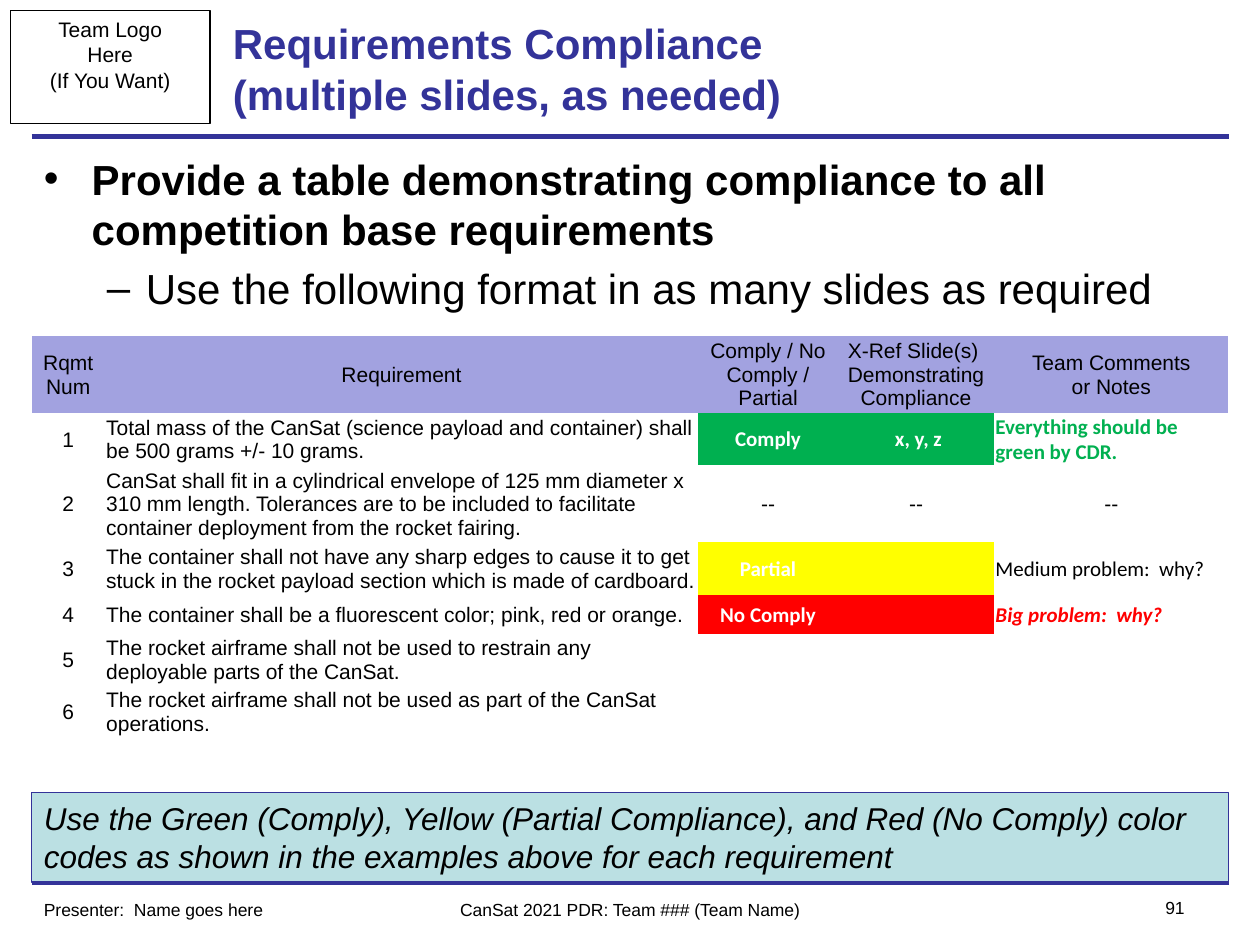
from lxml.etree import SubElement
from pptx import Presentation
from pptx.dml.color import RGBColor
from pptx.enum.shapes import MSO_CONNECTOR, MSO_SHAPE
from pptx.enum.text import MSO_ANCHOR, PP_ALIGN
from pptx.oxml.ns import qn
from pptx.util import Inches, Pt

HUES = {"navy": "333399", "black": "000000", "white": "FFFFFF", "head": "A2A2E0",
        "note": "BBE0E3", "green": "00B050", "yellow": "FFFF00", "red": "FF0000"}
ALIGN = {"l": PP_ALIGN.LEFT, "c": PP_ALIGN.CENTER, "r": PP_ALIGN.RIGHT}
PLAIN = "{2D5ABB26-0587-4C30-8999-92F81FD0307C}"


def hue(name):
    return RGBColor.from_string(HUES[name])


def unit(num):
    return Inches(num / 12)


def write(para, text, size=12, face="Arial", color="black", bold=False,
          slant=False, align="l", bullet=None, left=0, hang=0, before=0):
    para.text = text
    para.alignment = ALIGN[align]
    para.space_before = Pt(before)
    for run in para.runs:
        font = run.font
        font.size, font.name, font.bold, font.italic = Pt(size), face, bold, slant
        font.color.rgb = hue(color)
    if bullet:
        props = para._p.get_or_add_pPr()
        props.set("marL", str(Inches(left)))
        props.set("indent", str(-Inches(hang)))
        SubElement(props, qn("a:buFont"), typeface="Arial")
        SubElement(props, qn("a:buChar"), char=bullet)


def fill_in(frame, items, **style):
    for num, item in enumerate(items):
        para = frame.paragraphs[0] if num == 0 else frame.add_paragraph()
        text, extra = item if isinstance(item, tuple) else (item, {})
        write(para, text, **{**style, **extra})


class Page:
    def __init__(self, deck):
        self.shapes = deck.slides.add_slide(deck.slide_layouts[6]).shapes

    def rule(self, row):
        line = self.shapes.add_connector(MSO_CONNECTOR.STRAIGHT, unit(3), unit(row),
                                         unit(117), unit(row))
        line.line.color.rgb = hue("navy")
        line.line.width = Pt(3)
        SubElement(line._element.spPr, qn("a:effectLst"))

    def box(self, area, items, fill=None, edge="black", **style):
        box = self.shapes.add_shape(MSO_SHAPE.RECTANGLE, *map(unit, area))
        box.shadow.inherit = False
        if fill:
            box.fill.solid()
            box.fill.fore_color.rgb = hue(fill)
        else:
            box.fill.background()
        box.line.color.rgb = hue(edge)
        box.line.width = Pt(0.75)
        box.text_frame.vertical_anchor = MSO_ANCHOR.TOP
        fill_in(box.text_frame, items, **style)

    def label(self, area, items, anchor=MSO_ANCHOR.TOP, **style):
        frame = self.shapes.add_textbox(*map(unit, area)).text_frame
        frame.word_wrap = True
        frame.vertical_anchor = anchor
        fill_in(frame, items, **style)

    def table(self, left, top, cols, rows, cells):
        frame = self.shapes.add_table(len(rows), len(cols), unit(left), unit(top),
                                      unit(sum(cols)), unit(sum(rows)))
        grid = frame.table
        grid.first_row = grid.horz_banding = False
        grid._tbl.tblPr.find(qn("a:tableStyleId")).text = PLAIN
        for col, wide in zip(grid.columns, cols):
            col.width = unit(wide)
        for row, tall, line in zip(grid.rows, rows, cells):
            row.height = unit(tall)
            for cell, (items, fill, style) in zip(row.cells, line):
                self.cell(cell, items, fill, style)

    def cell(self, cell, items, fill, style):
        cell.margin_left = cell.margin_right = cell.margin_top = Inches(0.01)
        cell.margin_bottom = 0
        cell.vertical_anchor = MSO_ANCHOR.MIDDLE
        if fill:
            cell.fill.solid()
            cell.fill.fore_color.rgb = hue(fill)
        else:
            cell.fill.background()
        if items:
            fill_in(cell.text_frame, items, **style)


MID = {"align": "c"}
MARK = {"align": "c", "face": "Calibri", "color": "white", "bold": True}
BLANK = ([], None, {})
DASH = (["--"], None, MID)

HEADS = [["Rqmt", "Num"], ["Requirement"], ["Comply / No Comply / Partial"],
         ["X-Ref Slide(s)  Demonstrating Compliance"], ["Team Comments", "or Notes"]]
NEEDS = [
    "Total mass of the CanSat (science payload and container) shall be 500 grams +/- 10 grams.",
    "CanSat shall fit in a cylindrical envelope of 125 mm diameter x 310 mm length. "
    "Tolerances are to be included to facilitate container deployment from the rocket fairing.",
    "The container shall not have any sharp edges to cause it to get stuck in the rocket "
    "payload section which is made of cardboard.",
    "The container shall be a fluorescent color; pink, red or orange.",
    "The rocket airframe shall not be used to restrain any deployable parts of the CanSat.",
    "The rocket airframe shall not be used as part of the CanSat operations.",
]


def state(word, fill, ref, note, **style):
    return [([word], fill, MARK), (ref, fill, MARK),
            ([note], None, {"face": "Calibri", **style})]


STATES = [
    state("Comply", "green", [" x, y, z"], "Everything should be green by CDR.",
          color="green", bold=True),
    [DASH] * 3,
    state("Partial", "yellow", [], "Medium problem:  why?"),
    state("No Comply", "red", [], "Big problem:  why?", color="red", bold=True, slant=True),
    [BLANK] * 3,
    [BLANK] * 3,
]


def main():
    deck = Presentation()
    deck.slide_width, deck.slide_height = unit(120), unit(90)
    page = Page(deck)
    page.rule(84)
    page.rule(13)
    page.box((1, 1, 19, 10.8), ["Team Logo", "Here", "(If You Want)"], align="c")
    page.label((21, 1, 78, 11), ["Requirements Compliance\n(multiple slides, as needed)"],
               anchor=MSO_ANCHOR.MIDDLE, size=24, color="navy", bold=True)
    page.label((3, 14, 114, 68), [
        ("Provide a table demonstrating compliance to all competition base requirements",
         {"bold": True, "bullet": "•", "left": 0.38, "hang": 0.38}),
        ("Use the following format in as many slides as required",
         {"bullet": "–", "left": 0.81, "hang": 0.31, "before": 4.8})], size=24)
    page.label((36, 85, 48, 3.2), ["CanSat 2021 PDR: Team ### (Team Name)"],
               size=10, align="c")
    page.label((105, 84.8, 9, 3.2), ["91"], size=10, align="r")
    cells = [[(head, "head", MID) for head in HEADS]]
    for num, (need, marks) in enumerate(zip(NEEDS, STATES), 1):
        cells.append([([str(num)], None, MID), ([need], None, {}), *marks])
    page.table(3, 32, [7, 56.5, 13.3, 14.9, 22.3], [6.9, 5, 6.8, 5, 3.4, 4.6, 4.6], cells)
    page.box((3, 75.5, 114, 8.5),
             ["Use the Green (Comply), Yellow (Partial Compliance), and Red (No Comply) color "
              "codes as shown in the examples above for each requirement"],
             fill="note", edge="navy", size=18, slant=True)
    page.label((3, 85, 30, 3.2), ["Presenter:  Name goes here"], size=10)
    deck.save("out.pptx")


if __name__ == "__main__":
    main()
